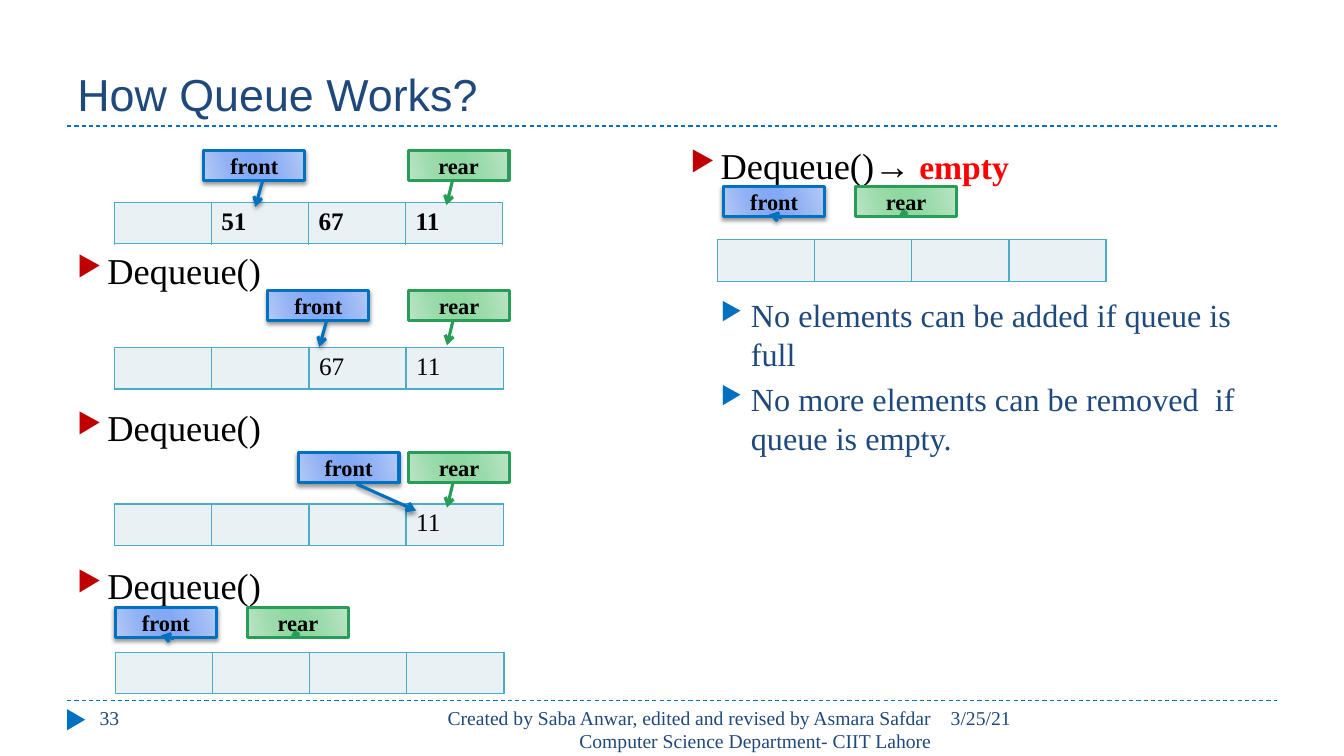
from dataclasses import dataclass

from lxml import etree
from pptx import Presentation
from pptx import util as u
from pptx.dml.color import RGBColor
from pptx.enum import dml, shapes, text
from pptx.oxml import parse_xml
from pptx.oxml.ns import nsdecls, qn

COLUMNS, ROWS = 80, 45
WIDTH, HEIGHT = u.Inches(13.33), u.Inches(7.5)
CELL_WIDTH, CELL_HEIGHT = 5.78, 2.46
TAG_WIDTH, TAG_HEIGHT = 6, 1.8


@dataclass(frozen=True)
class Theme:
    """Colours, fonts and type sizes of the slide."""

    heading: str = "Arial"
    body: str = "Times New Roman"
    navy: str = "1F497D"
    blue: str = "0070C0"
    red: str = "C00000"
    alert: str = "FF0000"
    black: str = "000000"
    cell: str = "E9F1F5"
    border: str = "4BACC6"
    green: str = "279D57"
    front_shades: tuple = ("B4C9F6", "90B1F4", "83A9F4")
    rear_shades: tuple = ("BBE4C5", "9BDBAB", "8FD8A1")
    title_size: int = 32
    call_size: int = 26
    alert_size: int = 24
    note_size: int = 23
    cell_size: int = 18
    tag_size: int = 16
    footer_size: int = 14


THEME = Theme()
FRONT_TIP, EMPTY_FRONT_TIP = (1.87, 0.49), (0.93, 0.55)
REAR_TIP, EMPTY_REAR_TIP = (1.82, 0.62), (1.03, 0.58)
STAGES = [
    ((6.8, 12.06), ("", "51", "67", "11"), True, -3.12, (5.34, FRONT_TIP), (17.5, REAR_TIP)),
    ((6.83, 20.7), ("", "", "67", "11"), False, -3.42, (9.12, FRONT_TIP), (17.5, REAR_TIP)),
    ((6.83, 30), ("", "", "", "11"), False, -3.06, (10.92, (1.92, -0.17)), (17.5, REAR_TIP)),
    ((6.88, 38.82), ("",) * 4, False, -2.67, (0, EMPTY_FRONT_TIP), (7.86, EMPTY_REAR_TIP)),
    ((42.72, 14.28), ("",) * 4, False, -3.18, (0.36, EMPTY_FRONT_TIP), (8.22, EMPTY_REAR_TIP)),
]


def place(left, top, width, height):
    """Turn grid columns and rows into slide lengths."""
    across, down = WIDTH / COLUMNS, HEIGHT / ROWS
    return int(left * across), int(top * down), int(width * across), int(height * down)


def colour(code):
    """Return the colour for a hexadecimal code."""
    return RGBColor.from_string(code)


def write(paragraph, words, size, ink=THEME.black, font=THEME.body, bold=False, align=None):
    """Add a formatted run to a paragraph."""
    run = paragraph.add_run()
    run.text = words
    run.font.name, run.font.size, run.font.bold = font, u.Pt(size), bold
    run.font.color.rgb = colour(ink)
    if align is not None:
        paragraph.alignment = align


def add_bullet(paragraph, ink, level=0, before=0):
    """Give a paragraph a triangular bullet and a hanging indent."""
    properties = paragraph._p.get_or_add_pPr()
    properties.set("marL", str(u.Inches(0.3 * (level + 1))))
    properties.set("indent", str(u.Inches(-0.3)))
    tint = etree.SubElement(properties, qn("a:buClr"))
    etree.SubElement(tint, qn("a:srgbClr"), val=ink)
    etree.SubElement(properties, qn("a:buSzPct"), val="76000")
    etree.SubElement(properties, qn("a:buChar"), char="▶")
    paragraph.level = level
    if before:
        paragraph.space_before = u.Pt(before)


def add_text_frame(slide, box):
    """Add a wrapping text box and return its frame."""
    frame = slide.shapes.add_textbox(*place(*box)).text_frame
    frame.word_wrap = True
    return frame


def add_rule(slide, row):
    """Draw a dashed rule between the side margins."""
    left, top, width, _ = place(4, row, 72, 0)
    rule = slide.shapes.add_connector(shapes.MSO_CONNECTOR.STRAIGHT, left, top, left + width, top)
    rule.line.color.rgb = colour(THEME.blue)
    rule.line.width = u.Pt(0.75)
    rule.line.dash_style = dml.MSO_LINE.DASH
    etree.SubElement(rule._element.spPr, qn("a:effectLst"))


def add_header(slide, box):
    """Place the title above its rule."""
    title = slide.shapes.title
    title.left, title.top, title.width, title.height = place(*box)
    title.text_frame.vertical_anchor = text.MSO_ANCHOR.BOTTOM
    write(title.text_frame.paragraphs[0], "How Queue Works?", THEME.title_size,
          ink=THEME.navy, font=THEME.heading, align=text.PP_ALIGN.LEFT)
    add_rule(slide, box[1] + box[3])


def add_footer(slide, box):
    """Place the rule, marker, page number, credit and date."""
    left, top, width, height = box
    add_rule(slide, top)
    marker = slide.shapes.add_shape(shapes.MSO_SHAPE.ISOSCELES_TRIANGLE,
                                    *place(left - 0.1, top + 0.6, 1.26, 1.08))
    marker.rotation = 90
    marker.shadow.inherit = False
    marker.fill.solid()
    marker.fill.fore_color.rgb = colour(THEME.blue)
    marker.line.fill.background()
    credit = ("Created by Saba Anwar, edited and revised by Asmara Safdar "
              "Computer Science Department- CIIT Lahore")
    parts = [(1.34, 17.34, "33", text.PP_ALIGN.LEFT),
             (21.38, 30.66, credit, text.PP_ALIGN.RIGHT),
             (52, 20, "3/25/21", text.PP_ALIGN.LEFT)]
    for offset, span, words, align in parts:
        frame = add_text_frame(slide, (left + offset, top, span, height))
        write(frame.paragraphs[0], words, THEME.footer_size, ink=THEME.navy, align=align)


def add_calls(slide, box):
    """List the three successive dequeue calls."""
    frame = add_text_frame(slide, box)
    for index in range(3):
        paragraph = frame.add_paragraph() if index else frame.paragraphs[0]
        add_bullet(paragraph, THEME.red, before=81.5 if index else 0)
        write(paragraph, "Dequeue()", THEME.call_size)


def add_conclusion(slide, box):
    """Show the last call and the two limits of a queue."""
    frame = add_text_frame(slide, box)
    call = frame.paragraphs[0]
    add_bullet(call, THEME.red)
    write(call, "Dequeue()→", THEME.call_size)
    write(call, " empty", THEME.alert_size, ink=THEME.alert, bold=True)
    notes = [("No elements can be added if queue is full", 78),
             ("No more elements can be removed  if queue is empty.", 5)]
    for words, before in notes:
        note = frame.add_paragraph()
        add_bullet(note, THEME.blue, level=1, before=before)
        write(note, words, THEME.note_size, ink=THEME.navy)


def add_cells(slide, box, values, bold):
    """Draw the queue as a one-row table."""
    table = slide.shapes.add_table(1, len(values), *place(*box)).table
    table.first_row = table.horz_banding = False
    for cell, value in zip(table.rows[0].cells, values):
        properties = cell._tc.get_or_add_tcPr()
        for side in ("lnL", "lnR", "lnT", "lnB"):
            properties.append(parse_xml(
                f'<a:{side} {nsdecls("a")} w="12700"><a:solidFill>'
                f'<a:srgbClr val="{THEME.border}"/></a:solidFill></a:{side}>'))
        cell.fill.solid()
        cell.fill.fore_color.rgb = colour(THEME.cell)
        if value:
            write(cell.text_frame.paragraphs[0], value, THEME.cell_size, bold=bold)


def add_tag(slide, box, label, shades, outline, start, tip, shadow=False):
    """Draw a shaded callout whose arrow points into the queue."""
    tag = slide.shapes.add_shape(shapes.MSO_SHAPE.LINE_CALLOUT_1, *place(*box))
    for index, share in enumerate((*start, *tip)):
        tag.adjustments[index] = share
    properties = tag._element.spPr
    properties.find(qn("a:xfrm")).set("flipH", "1")
    tag.fill.gradient()
    stops = zip((0, 30, 45, 55, 73, 100), (*shades, *reversed(shades)))
    stop_list = "".join(f'<a:gs pos="{place_at * 1000}"><a:srgbClr val="{shade}"/></a:gs>'
                        for place_at, shade in stops)
    gradient = parse_xml(f'<a:gradFill {nsdecls("a")}><a:gsLst>{stop_list}</a:gsLst>'
                         f'<a:lin ang="{16 * 60000}" scaled="0"/></a:gradFill>')
    properties.replace(properties.find(qn("a:gradFill")), gradient)
    tag.line.color.rgb = colour(outline)
    tag.line.width = u.Pt(2.25)
    etree.SubElement(properties.find(qn("a:ln")), qn("a:tailEnd"), type="arrow")
    tag.shadow.inherit = False
    if shadow:
        properties.find(qn("a:effectLst")).append(parse_xml(
            f'<a:outerShdw {nsdecls("a")} blurRad="{u.Pt(3)}" dist="{u.Pt(2)}" dir="5400000" '
            f'rotWithShape="0"><a:srgbClr val="{THEME.black}"><a:alpha val="40000"/>'
            '</a:srgbClr></a:outerShdw>'))
    frame = tag.text_frame
    frame.margin_top = frame.margin_bottom = 0
    frame.vertical_anchor = text.MSO_ANCHOR.MIDDLE
    write(frame.paragraphs[0], label, THEME.tag_size, bold=True, align=text.PP_ALIGN.CENTER)


def add_stage(slide, corner, values, bold, rise, front, rear):
    """Draw one state of the queue with its front and rear tags."""
    left, top = corner
    add_cells(slide, (left, top, CELL_WIDTH * len(values), CELL_HEIGHT), values, bold)
    add_tag(slide, (left + front[0], top + rise, TAG_WIDTH, TAG_HEIGHT), "front",
            THEME.front_shades, THEME.blue, (1.04, 0.42), front[1], shadow=True)
    add_tag(slide, (left + rear[0], top + rise, TAG_WIDTH, TAG_HEIGHT), "rear",
            THEME.rear_shades, THEME.green, (0.99, 0.56), rear[1])


def main():
    """Build and save the slide."""
    presentation = Presentation()
    presentation.slide_width, presentation.slide_height = WIDTH, HEIGHT
    slide = presentation.slides.add_slide(presentation.slide_layouts[5])
    add_header(slide, (4, 1, 72, 6.5))
    add_footer(slide, (4, 41.7, 72, 2.4))
    add_calls(slide, (4, 14.45, 35.5, 24))
    add_conclusion(slide, (40.5, 8.2, 35.5, 32.4))
    for stage in STAGES:
        add_stage(slide, *stage)
    presentation.save("out.pptx")


if __name__ == "__main__":
    main()
